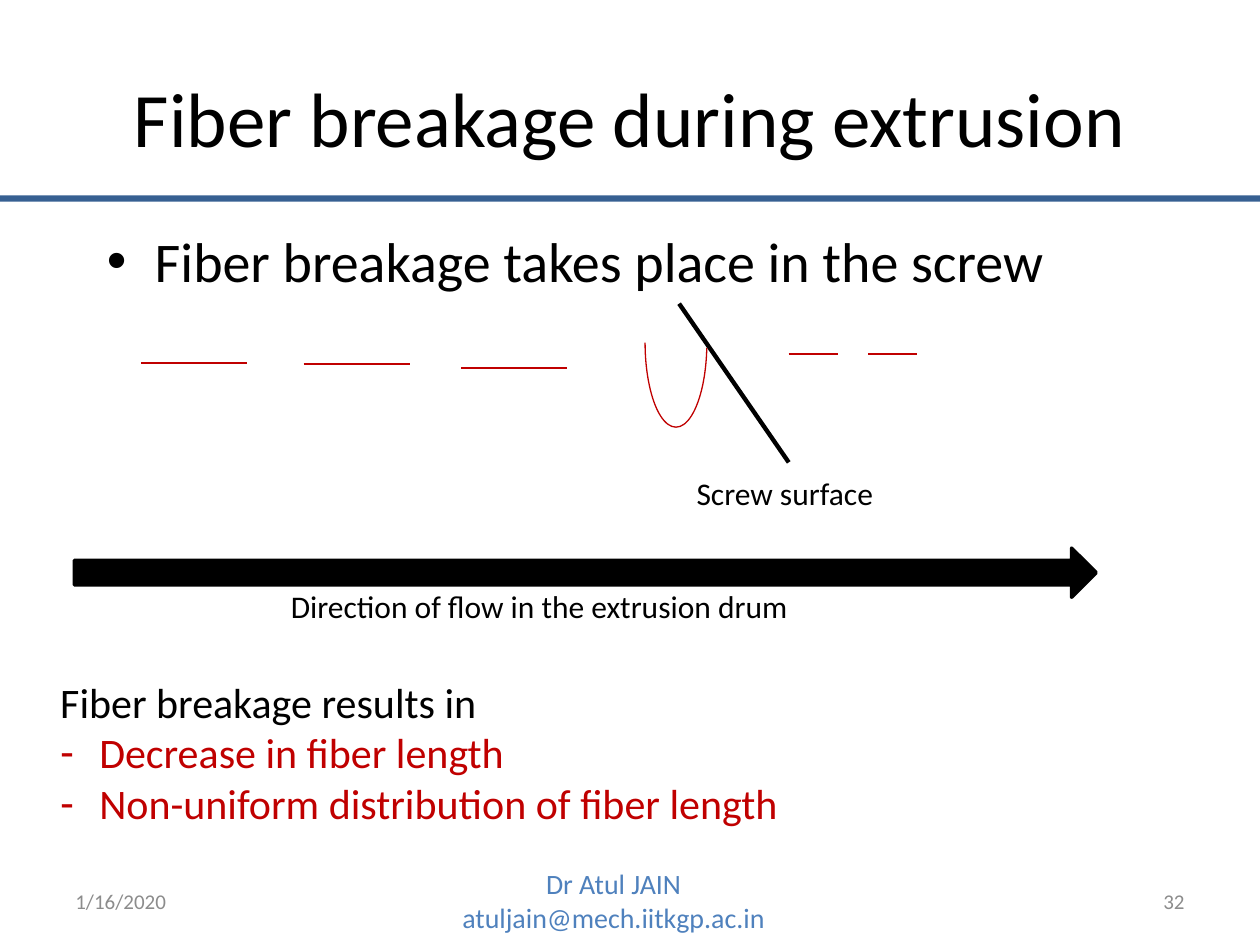
from dataclasses import dataclass

from lxml import etree
from pptx import Presentation
from pptx import util as u
from pptx.dml.color import RGBColor
from pptx.enum import shapes, text
from pptx.oxml.ns import qn


@dataclass(frozen=True)
class Theme:
    font: str = "Calibri"
    ink: str = "000000"
    red: str = "C00000"
    bar: str = "376092"
    contact: str = "4F81BD"
    muted: str = "8C8C8C"
    title: int = 44
    body: int = 32
    result: int = 24
    label: int = 18
    footer: int = 16
    small: int = 12


def write(para, words, *, size, color, font, align=text.PP_ALIGN.LEFT, bullet=None, indent=0):
    para.alignment = align
    if bullet:
        properties = para._p.get_or_add_pPr()
        properties.set("marL", str(u.Inches(indent)))
        properties.set("indent", str(-u.Inches(indent)))
        etree.SubElement(properties, qn("a:buFont")).set("typeface", "Arial")
        etree.SubElement(properties, qn("a:buChar")).set("char", bullet)
    span = para.add_run()
    span.text = words
    span.font.name = font
    span.font.size = u.Pt(size)
    span.font.color.rgb = RGBColor.from_string(color)


class SlideBuilder:
    def __init__(self, slide, theme):
        self.slide = slide
        self.theme = theme

    def title(self, words, *place):
        box = self.slide.shapes.title
        box.left, box.top, box.width, box.height = map(u.Inches, place)
        box.text_frame.vertical_anchor = text.MSO_ANCHOR.MIDDLE
        write(box.text_frame.paragraphs[0], words, size=self.theme.title, color=self.theme.ink,
              font=self.theme.font, align=text.PP_ALIGN.CENTER)

    def text(self, place, *lines, anchor=text.MSO_ANCHOR.TOP, **style):
        """Each line is a (words, overrides) pair; style applies to all lines."""
        frame = self.slide.shapes.add_textbox(*map(u.Inches, place)).text_frame
        frame.word_wrap = True
        frame.vertical_anchor = anchor
        for number, (words, overrides) in enumerate(lines):
            para = frame.add_paragraph() if number else frame.paragraphs[0]
            base = {"font": self.theme.font, "color": self.theme.ink}
            write(para, words, **{**base, **style, **overrides})

    def shape(self, kind, place, fill=None, line=None, weight=0.75):
        shape = self.slide.shapes.add_shape(kind, *map(u.Inches, place))
        shape.shadow.inherit = False
        if fill:
            shape.fill.solid()
            shape.fill.fore_color.rgb = RGBColor.from_string(fill)
        else:
            shape.fill.background()
        if line:
            shape.line.color.rgb = RGBColor.from_string(line)
            shape.line.width = u.Pt(weight)
        else:
            shape.line.fill.background()
        return shape

    def line(self, start, end, color, weight):
        line = self.slide.shapes.add_connector(
            shapes.MSO_CONNECTOR.STRAIGHT, *map(u.Inches, (*start, *end)))
        line.line.color.rgb = RGBColor.from_string(color)
        line.line.width = u.Pt(weight)
        etree.SubElement(line._element.spPr, qn("a:effectLst"))

    def fiber(self, left, top, length):
        self.line((left, top), (left + length, top), self.theme.red, 0.75)

    def bent_fiber(self, *place):
        arc = self.shape(shapes.MSO_SHAPE.ARC, place, line=self.theme.red)
        arc.adjustments[0] = 113.58
        arc.adjustments[1] = 0
        arc.rotation = 180


def main():
    deck = Presentation()
    deck.slide_width, deck.slide_height = u.Inches(10), u.Inches(7.5)
    theme = Theme()
    page = SlideBuilder(deck.slides.add_slide(deck.slide_layouts[5]), theme)
    middle = text.MSO_ANCHOR.MIDDLE

    page.shape(shapes.MSO_SHAPE.RECTANGLE, (0, 1.55, 10, 0.05), fill=theme.bar)
    page.title("Fiber breakage during extrusion", 0.5, 0.3, 9, 1.25)
    page.text((0.75, 1.75, 9, 0.65), ("Fiber breakage takes place in the screw", {}),
              size=theme.body, bullet="•", indent=0.38)

    # Whole fibers, the fiber bending at the screw, and its broken halves
    page.line((5.39, 2.41), (6.26, 3.67), theme.ink, 2.5)
    page.text((5.43, 3.71, 2.05, 0.4), ("Screw surface", {}), size=theme.label)
    for left, top in ((1.12, 2.88), (2.41, 2.89), (3.66, 2.92)):
        page.fiber(left, top, 0.84)
    page.bent_fiber(5.12, 2.05, 0.49, 1.34)
    for left in (6.26, 6.89):
        page.fiber(left, 2.81, 0.39)

    page.shape(shapes.MSO_SHAPE.RIGHT_ARROW, (0.59, 4.35, 8.11, 0.39),
               fill=theme.ink, line=theme.ink, weight=2)
    page.text((2.21, 4.61, 7.32, 0.4), ("Direction of flow in the extrusion drum", {}),
              size=theme.label)

    finding = {"color": theme.red, "bullet": "-", "indent": 0.31}
    page.text((0.38, 5.32, 6.06, 1.31),
              ("Fiber breakage results in", {}),
              ("Decrease in fiber length", finding),
              ("Non-uniform distribution of fiber length", finding),
              size=theme.result)

    page.text((0.5, 6.95, 2.33, 0.4), ("1/16/2020", {}),
              size=theme.small, color=theme.muted, anchor=middle)
    page.text((3.33, 6.83, 3.08, 0.64), ("Dr Atul JAIN atuljain@mech.iitkgp.ac.in", {}),
              size=theme.footer, color=theme.contact, align=text.PP_ALIGN.CENTER)
    page.text((7.17, 6.95, 2.33, 0.4), ("32", {}), size=theme.small, color=theme.muted,
              anchor=middle, align=text.PP_ALIGN.RIGHT)
    deck.save("out.pptx")


if __name__ == "__main__":
    main()
